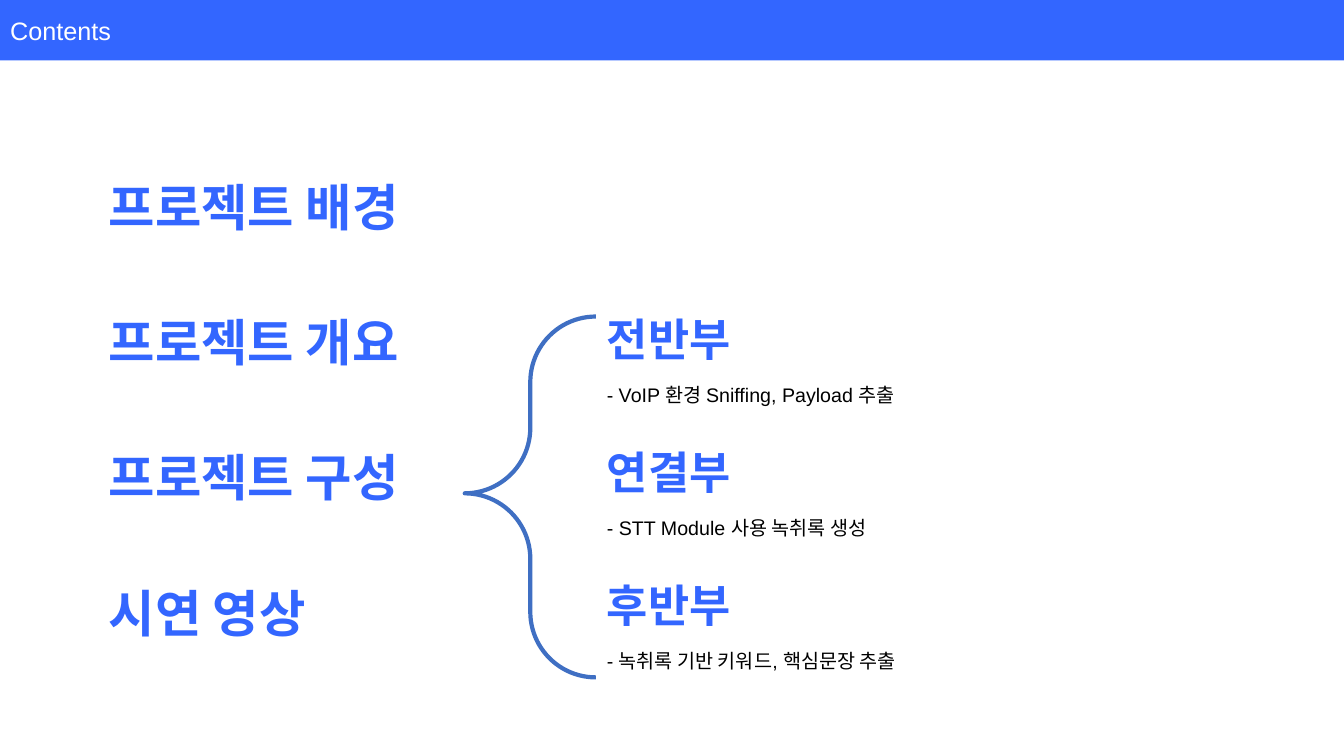
from dataclasses import dataclass

from pptx import Presentation
from pptx.dml.color import RGBColor
from pptx.enum.shapes import MSO_SHAPE
from pptx.enum.text import MSO_ANCHOR, MSO_AUTO_SIZE, PP_ALIGN
from pptx.util import Emu, Pt

EMU_PER_PX = 9144


@dataclass(frozen=True)
class Theme:
    """Colours, font and type sizes of the deck."""

    font: str = "Arial"
    accent: RGBColor = RGBColor(0x33, 0x66, 0xFF)
    brace: RGBColor = RGBColor(0x3F, 0x6F, 0xC3)
    white: RGBColor = RGBColor(0xFF, 0xFF, 0xFF)
    black: RGBColor = RGBColor(0, 0, 0)
    title_size: int = 18
    chapter_size: int = 36
    section_size: int = 32
    detail_size: int = 14
    brace_width: int = 3


THEME = Theme()

CHAPTERS = [
    ("프로젝트 배경", 531),
    ("프로젝트 개요", 531),
    ("프로젝트 구성", 364),
    ("시연 영상", 531),
]
SECTIONS = [
    ("전반부", "- VoIP 환경 Sniffing, Payload 추출", 376),
    ("연결부", "- STT Module 사용 녹취록 생성", 349),
    ("후반부", "- 녹취록 기반 키워드, 핵심문장 추출", 397),
]


def px(*lengths):
    """Turn pixel lengths into EMU."""
    return [Emu(length * EMU_PER_PX) for length in lengths]


def write_text(frame, text, *, size, color, bold=False, anchor=MSO_ANCHOR.TOP,
               fit=MSO_AUTO_SIZE.SHAPE_TO_FIT_TEXT):
    """Put one formatted, left-aligned paragraph into a text frame."""
    frame.word_wrap = True
    frame.auto_size = fit
    frame.vertical_anchor = anchor
    paragraph = frame.paragraphs[0]
    paragraph.alignment = PP_ALIGN.LEFT
    run = paragraph.add_run()
    run.text = text
    run.font.name = THEME.font
    run.font.size = Pt(size)
    run.font.bold = bold
    run.font.color.rgb = color


def add_label(slide, box, text, **text_format):
    """Add a text box holding one label."""
    label = slide.shapes.add_textbox(*px(*box))
    write_text(label.text_frame, text, **text_format)


def add_title_bar(slide, text):
    """Turn the title placeholder into the bar across the top."""
    bar = slide.shapes.title
    bar.left, bar.top, bar.width, bar.height = px(0, 0, 1337, 60)
    bar.fill.solid()
    bar.fill.fore_color.rgb = THEME.accent
    write_text(bar.text_frame, text, size=THEME.title_size, color=THEME.white,
               anchor=MSO_ANCHOR.MIDDLE, fit=MSO_AUTO_SIZE.NONE)


def add_brace(slide, box):
    """Add the brace that opens a chapter into its sections."""
    brace = slide.shapes.add_shape(MSO_SHAPE.LEFT_BRACE, *px(*box))
    brace.shadow.inherit = False
    brace.fill.background()
    brace.line.color.rgb = THEME.brace
    brace.line.width = Pt(THEME.brace_width)
    brace.adjustments[0] = 0.5
    brace.adjustments[1] = 0.49


def main():
    """Build the contents slide."""
    deck = Presentation()
    deck.slide_width, deck.slide_height = px(1333, 750)
    slide = deck.slides.add_slide(deck.slide_layouts[5])

    add_title_bar(slide, "Contents")
    for index, (chapter, width) in enumerate(CHAPTERS):
        add_label(slide, (98, 170 + index * 403 // 3, width, 71), chapter,
                  size=THEME.chapter_size, color=THEME.accent, bold=True)
    add_brace(slide, (461, 314, 130, 358))
    for index, (section, detail, detail_width) in enumerate(SECTIONS):
        top = 304 + index * 132
        add_label(slide, (592, top, 500, 64), section,
                  size=THEME.section_size, color=THEME.accent, bold=True)
        add_label(slide, (592, top + 71, detail_width, 34), detail,
                  size=THEME.detail_size, color=THEME.black)

    deck.save("out.pptx")


if __name__ == "__main__":
    main()
